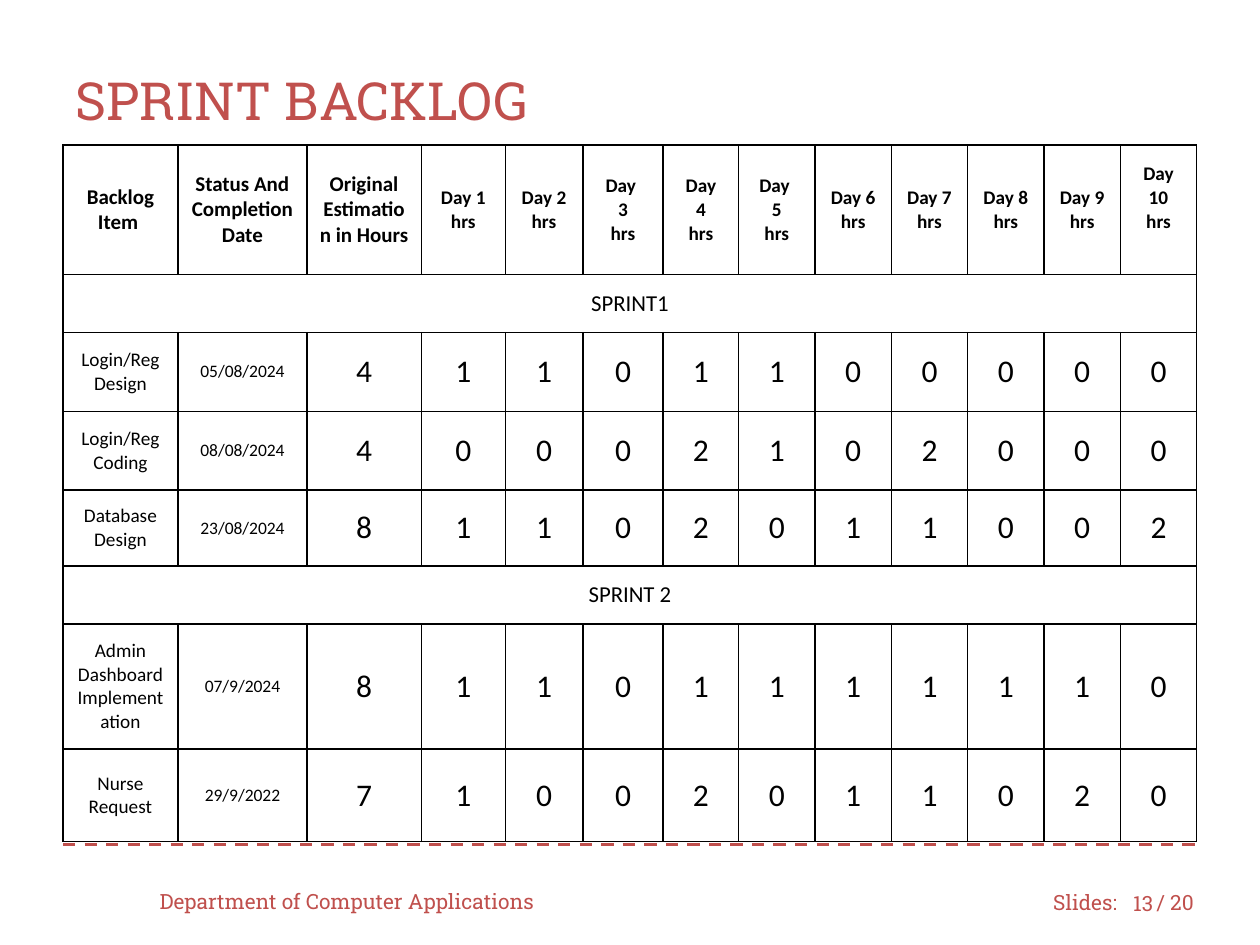
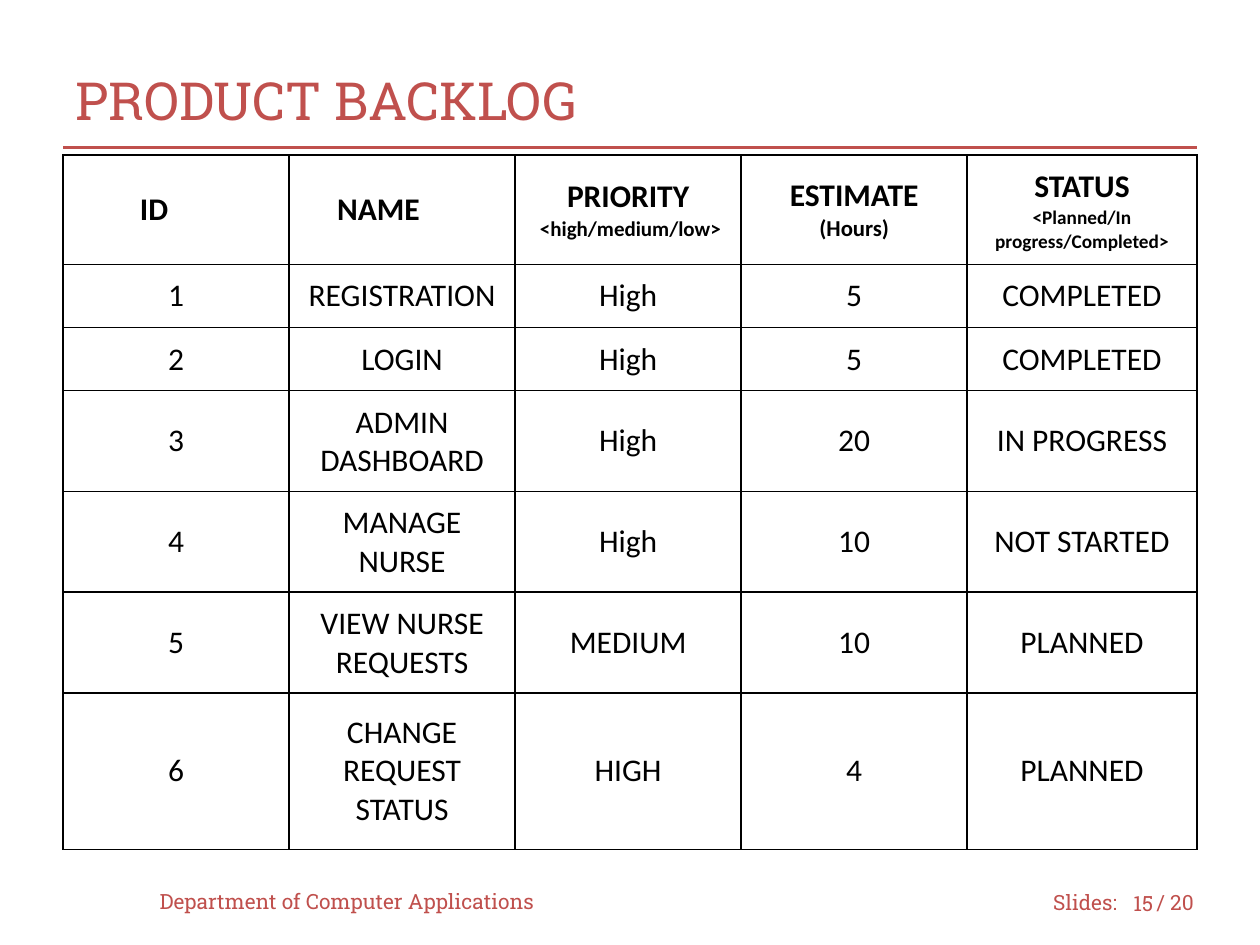
"""Build the sprint backlog and product backlog slides."""
import dataclasses

import lxml.etree
import pptx
import pptx.dml.color
import pptx.enum.dml
import pptx.enum.shapes
import pptx.enum.text
import pptx.oxml.ns
import pptx.util

Pt = pptx.util.Pt
ALIGN = pptx.enum.text.PP_ALIGN
MIDDLE = pptx.enum.text.MSO_ANCHOR.MIDDLE
RED, BLACK, WHITE = "C0504D", "000000", "FFFFFF"
SLAB, BODY = "Roboto Slab", "Calibri"
LEFT, WIDTH, PAD = 36, 648, 7.2


@dataclasses.dataclass(frozen=True)
class Label:
    text: str
    left: float
    top: float
    width: float
    align: ALIGN = ALIGN.LEFT


@dataclasses.dataclass(frozen=True)
class Rule:
    top: float
    dashed: bool = False


@dataclasses.dataclass(frozen=True)
class Phrase:
    text: str
    size: float
    bold: bool = False
    align: ALIGN = ALIGN.CENTER
    indent: float = 0
    joined: bool = False


@dataclasses.dataclass(frozen=True)
class Cell:
    phrases: tuple[Phrase, ...]
    foot: float = PAD
    wide: bool = False


@dataclasses.dataclass(frozen=True)
class Grid:
    top: float
    height: float
    widths: list[float]
    heights: list[float]
    rows: list[list[Cell]]


@dataclasses.dataclass(frozen=True)
class Page:
    title: str
    number: str
    grid: Grid


RULES = (Rule(482.4, dashed=True), Rule(84.2))
LABELS = (
    Label("Slides:", 594.7, 501.1, 54),
    Label("/ 20", 653.8, 501.1, 41.8),
    Label("Department of Computer Applications", 84.2, 500.4, 239.8),
)


def tint(code: str) -> pptx.dml.color.RGBColor:
    return pptx.dml.color.RGBColor.from_string(code)


def write(frame, text: str, *, size: float, color: str = BLACK, font: str = BODY,
          bold: bool = False, align: ALIGN = ALIGN.LEFT, indent: float = 0,
          joined: bool = False) -> None:
    for line in text.split("\n"):
        para = frame.paragraphs[-1]
        if para.runs and not joined:
            para = frame.add_paragraph()
        if not joined:
            para.alignment = align
        if indent:
            para._p.get_or_add_pPr().set("marL", str(Pt(indent)))
        run = para.add_run()
        run.text = line
        run.font.name, run.font.size, run.font.bold = font, Pt(size), bold
        run.font.color.rgb = tint(color)


def draw_label(slide, label: Label) -> None:
    box = slide.shapes.add_textbox(Pt(label.left), Pt(label.top), Pt(label.width), Pt(28.8))
    frame = box.text_frame
    frame.word_wrap = True
    frame.vertical_anchor = MIDDLE
    write(frame, label.text, size=12, color=RED, font=SLAB, align=label.align)


def draw_rule(slide, rule: Rule) -> None:
    line = slide.shapes.add_connector(
        pptx.enum.shapes.MSO_CONNECTOR.STRAIGHT,
        Pt(LEFT), Pt(rule.top), Pt(LEFT + WIDTH), Pt(rule.top))
    line.line.color.rgb = tint(RED)
    line.line.width = Pt(1.75)
    if rule.dashed:
        line.line.dash_style = pptx.enum.dml.MSO_LINE.DASH
    lxml.etree.SubElement(line._element.spPr, pptx.oxml.ns.qn("a:effectLst"))


def draw_title(slide, text: str) -> None:
    title = slide.shapes.title
    title.left, title.top, title.width, title.height = map(Pt, (LEFT, 23.8, WIDTH, 66.2))
    frame = title.text_frame
    frame.auto_size = pptx.enum.text.MSO_AUTO_SIZE.NONE
    frame.vertical_anchor = MIDDLE
    write(frame, text, size=30, color=RED, font=SLAB)


def style_box(box) -> None:
    qn = pptx.oxml.ns.qn
    props = box._tc.get_or_add_tcPr()
    for side in ("lnL", "lnR", "lnT", "lnB"):
        edge = lxml.etree.SubElement(props, qn(f"a:{side}"), w=str(Pt(1)))
        fill = lxml.etree.SubElement(edge, qn("a:solidFill"))
        lxml.etree.SubElement(fill, qn("a:srgbClr"), val=BLACK)
    box.fill.solid()
    box.fill.fore_color.rgb = tint(WHITE)
    box.vertical_anchor = MIDDLE
    box.margin_left = box.margin_right = box.margin_top = box.margin_bottom = Pt(PAD)


def draw_grid(slide, grid: Grid) -> None:
    holder = slide.shapes.add_table(
        len(grid.heights), len(grid.widths),
        Pt(LEFT), Pt(grid.top), Pt(WIDTH), Pt(grid.height))
    table = holder.table
    table.first_row = table.horz_banding = False
    for column, width in zip(table.columns, grid.widths):
        column.width = Pt(width)
    for row, height in zip(table.rows, grid.heights):
        row.height = Pt(height)
    holder.height = Pt(grid.height)
    for box in table.iter_cells():
        style_box(box)
    for y, row in enumerate(grid.rows):
        for x, cell in enumerate(row):
            box = table.cell(y, x)
            box.margin_bottom = Pt(cell.foot)
            if cell.wide:
                box.merge(table.cell(y, len(grid.widths) - 1))
            for phrase in cell.phrases:
                write(box.text_frame, phrase.text, size=phrase.size, bold=phrase.bold,
                      align=phrase.align, indent=phrase.indent, joined=phrase.joined)


def plain(text: str, size: float, bold: bool = False, foot: float = PAD) -> Cell:
    return Cell((Phrase(text, size, bold),), foot)


def band(text: str) -> list[Cell]:
    return [Cell((Phrase(text, 13),), wide=True)]


def task(name: str, date: str, hours: str) -> list[Cell]:
    return [plain(name, 11), plain(date, 10)] + [plain(hour, 18) for hour in hours.split()]


def item(text: str) -> list[Cell]:
    return [plain(word, 18) for word in text.split("|")]


DAYS = ["Day 1\nhrs", "Day 2\nhrs", "Day \n3\nhrs", "Day\n4\nhrs", "Day \n5\nhrs",
        "Day 6\nhrs", "Day 7\nhrs", "Day 8\nhrs", "Day 9\nhrs"]
HEADS = ["Backlog Item ", "Status And Completion Date", "Original Estimation in Hours "]

SPRINT = Grid(
    82.8, 398.2,
    [65.7, 73.7, 65.4, 48, 44.3, 46, 43.1] + [43.65] * 6,
    [74.2, 33.1, 45, 45, 43.5, 33, 71.5, 53],
    [
        [plain(head, 12, True) for head in HEADS]
        + [plain(day, 11, True) for day in DAYS]
        + [plain("Day 10\nhrs", 11, True, foot=20.6)],
        band("SPRINT1"),
        task("Login/Reg Design", "05/08/2024", "4 1 1 0 1 1 0 0 0 0 0"),
        task("Login/Reg Coding", "08/08/2024", "4 0 0 0 2 1 0 2 0 0 0"),
        task("Database Design", "23/08/2024", "8 1 1 0 2 0 1 1 0 0 2"),
        band("SPRINT 2"),
        task("Admin Dashboard Implementation", "07/9/2024", "8 1 1 0 1 1 1 1 1 1 0"),
        task("Nurse Request", "29/9/2022", "7 1 0 0 2 0 1 1 0 2 0"),
    ])

PRODUCT = Grid(
    88.6, 396.7,
    [129.2] * 4 + [131.2],
    [56.2, 32.4, 32.4, 51.8, 51.8, 51.8, 89.3],
    [
        [Cell((Phrase("ID", 18, True, ALIGN.LEFT, 36.8),)),
         Cell((Phrase("NAME", 18, True, ALIGN.LEFT, 20.3),)),
         Cell((Phrase("PRIORITY", 18, True),
               Phrase("<high/medium/low>", 12, True, ALIGN.LEFT, 7))),
         Cell((Phrase("ESTIMATE ", 18, True), Phrase("(Hours)", 13, True, joined=True))),
         Cell((Phrase("STATUS", 18, True),
               Phrase("<Planned/In progress/Completed>", 11, True)))],
        item("1|REGISTRATION|High|5|COMPLETED"),
        item("2|LOGIN|High|5|COMPLETED"),
        item("3|ADMIN DASHBOARD|High|20|IN PROGRESS"),
        item("4|MANAGE NURSE|High|10|NOT STARTED"),
        item("5|VIEW NURSE REQUESTS|MEDIUM|10|PLANNED"),
        item("6|CHANGE REQUEST STATUS|HIGH|4|PLANNED"),
    ])

PAGES = (Page("SPRINT BACKLOG", "13", SPRINT), Page("PRODUCT BACKLOG", "15", PRODUCT))


def main() -> None:
    deck = pptx.Presentation()
    deck.slide_width, deck.slide_height = Pt(720), Pt(540)
    for page in PAGES:
        slide = deck.slides.add_slide(deck.slide_layouts[5])
        slide.background.fill.solid()
        slide.background.fill.fore_color.rgb = tint(WHITE)
        draw_title(slide, page.title)
        for rule in RULES:
            draw_rule(slide, rule)
        for label in (*LABELS, Label(page.number, 635.8, 501.8, 30.2, ALIGN.RIGHT)):
            draw_label(slide, label)
        draw_grid(slide, page.grid)
    deck.save("out.pptx")


if __name__ == "__main__":
    main()
